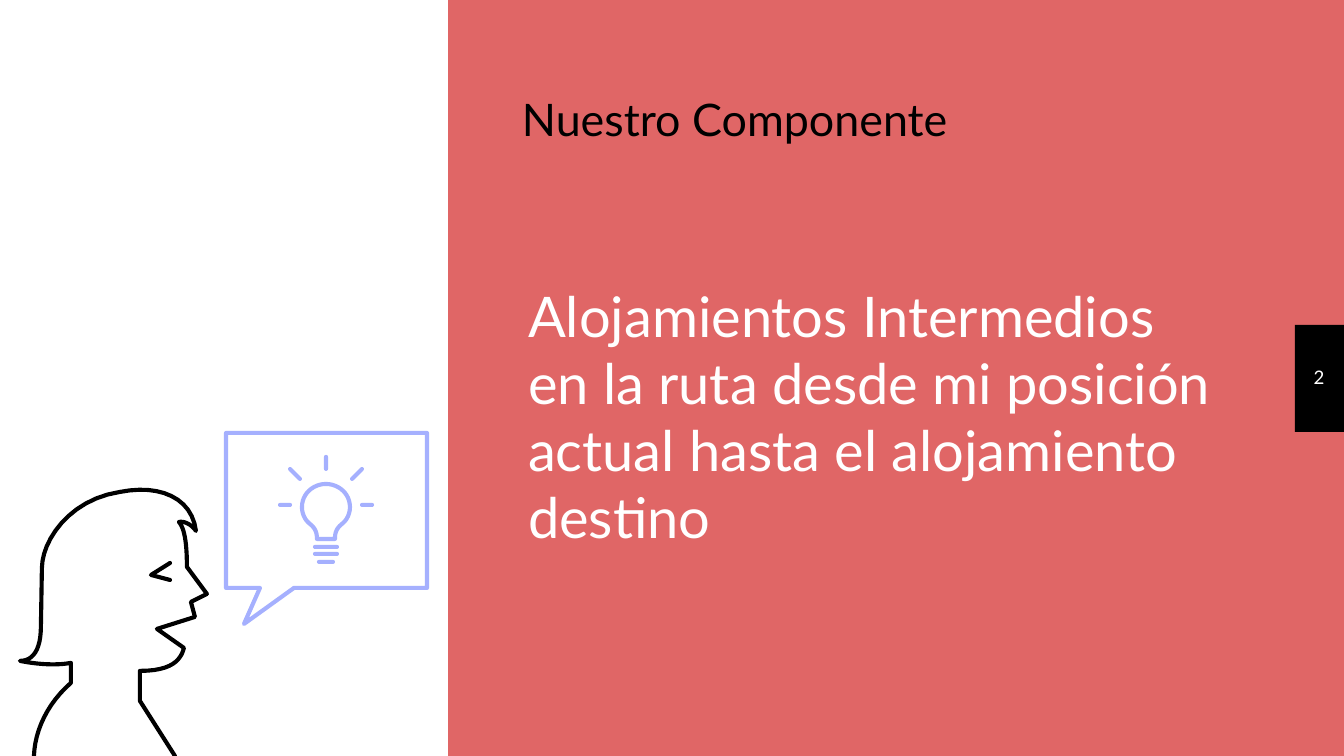
"""Build a slide with a speaking head, an idea bubble and a text panel."""
from lxml.etree import SubElement
from pptx import Presentation
from pptx.dml.color import RGBColor as RGB
from pptx.enum.shapes import MSO_SHAPE as Kind
from pptx.enum.text import MSO_ANCHOR as Anchor, PP_ALIGN as Align
from pptx.oxml.ns import qn
from pptx.util import Pt

SCALE = 914400 / 134.4
WIDE, HIGH = 1344, 756
RED = RGB(0xE0, 0x66, 0x66)
BLACK = RGB(0, 0, 0)
WHITE = RGB(0xFF, 0xFF, 0xFF)
LILAC = RGB(0xA5, 0xB0, 0xFE)

HEAD = [(175, 756), (140, 701), (140, 671), (172, 671, 181, 660, 184, 648),
        (157, 629), (195, 617), (191, 602), (207, 594), (187, 567),
        (187, 540, 184, 528, 179, 522), (185, 521, 192, 525, 196, 531),
        (192, 498, 160, 484, 120, 492), (68, 500, 42, 542, 42, 568),
        (41, 626), (41, 650, 33, 661, 20, 661), (35, 664, 55, 666, 71, 663),
        (71, 683), (48, 703, 35, 730, 34, 756)]
EYE = [(170, 563), (151, 575), (170, 580)]
BUBBLE = [(226, 433), (427, 433), (427, 588), (294, 588), (244, 624),
          (260, 588), (226, 588)]
BULB = [(317, 539), (317, 532, 315, 528, 310, 524),
        (305, 520, 302, 514, 302, 507), (302, 494, 313, 484, 326, 484),
        (339, 484, 350, 494, 350, 507), (350, 514, 347, 520, 342, 524),
        (337, 528, 335, 532, 335, 539)]
BARS = [(326, 547, 26, 0), (326, 554, 26, 0), (326, 562, 18, 0)]
RAYS = [(285, 505, 14, 0), (295, 474, 18, 45), (326, 463, 16, 90),
        (357, 474, 18, 135), (367, 505, 14, 0)]


def px(n):
    return round(n * SCALE)


def trace(path, steps=12):
    """Turn points and cubic curves into a list of points."""
    dots = [path[0]]
    for part in path[1:]:
        if len(part) == 2:
            dots.append(part)
            continue
        ends = [dots[-1], part[:2], part[2:4], part[4:]]
        for i in range(1, steps + 1):
            t = i / steps
            u = 1 - t
            mix = (u ** 3, 3 * u * u * t, 3 * u * t * t, t ** 3)
            dots.append(tuple(sum(m * e[k] for m, e in zip(mix, ends))
                              for k in (0, 1)))
    return dots


class Deck:
    """Hold the style and the current slide."""
    font = "Lato"
    pad = 13
    pen = 2.2
    thick = 4

    def __init__(self):
        self.show = Presentation()
        self.show.slide_width, self.show.slide_height = px(WIDE), px(HIGH)
        self.slide = self.show.slides.add_slide(self.show.slide_layouts[6])
        fill = self.slide.background.fill
        fill.solid()
        fill.fore_color.rgb = RED
        self.shapes = self.slide.shapes

    def block(self, x, y, w, h, color, kind=Kind.RECTANGLE):
        shape = self.shapes.add_shape(kind, px(x), px(y), px(w), px(h))
        shape.shadow.inherit = False
        shape.fill.solid()
        shape.fill.fore_color.rgb = color
        shape.line.fill.background()
        return shape

    def dash(self, x, y, size, turn, color):
        shape = self.block(x - size / 2, y - self.thick / 2, size, self.thick,
                           color, Kind.ROUNDED_RECTANGLE)
        shape.adjustments[0] = 0.5
        shape.rotation = turn

    def draw(self, path, color, close=False):
        dots = [(px(x), px(y)) for x, y in trace(path)]
        form = self.shapes.build_freeform(*dots[0], scale=1.0)
        form.add_line_segments(dots[1:], close=close)
        shape = form.convert_to_shape()
        shape.shadow.inherit = False
        shape.fill.background()
        shape.line.width = Pt(self.pen)
        shape.line.color.rgb = color
        line = shape.element.spPr.find(qn("a:ln"))
        line.set("cap", "rnd")
        SubElement(line, qn("a:round"))

    def text(self, x, y, w, h, words, size, color, anchor=Anchor.TOP, **form):
        box = self.shapes.add_textbox(px(x), px(y), px(w), px(h))
        frame = box.text_frame
        para = frame.paragraphs[0]
        run = para.add_run()
        run.text = words
        run.font.color.rgb = color
        sides = ("left", "right", "top", "bottom")
        look = {f"margin_{side}": px(self.pad) for side in sides}
        look.update(word_wrap=True, vertical_anchor=anchor)
        font = {"name": self.font, "size": Pt(size)}
        for item, values in ((frame, look), (para, form), (run.font, font)):
            for name, value in values.items():
                setattr(item, name, value)


def main():
    deck = Deck()
    deck.block(1295, 325, 49, 107, BLACK)
    deck.block(0, 0, 448, HIGH, WHITE)
    deck.text(515, 431, 720, 132,
              "Alojamientos Intermedios en la ruta desde mi posición "
              "actual hasta el alojamiento destino",
              30, WHITE, Anchor.BOTTOM)
    deck.text(509, 79, 802, 132, "Nuestro Componente", 24, BLACK,
              space_before=Pt(6))
    deck.text(1294, 324, 50, 107, "2", 10, WHITE, Anchor.MIDDLE,
              alignment=Align.CENTER)
    deck.draw(EYE, BLACK)
    deck.draw(HEAD, BLACK)
    deck.draw(BUBBLE, LILAC, close=True)
    for mark in BARS + RAYS:
        deck.dash(*mark, LILAC)
    deck.draw(BULB, LILAC, close=True)
    deck.show.save("out.pptx")


if __name__ == "__main__":
    main()
